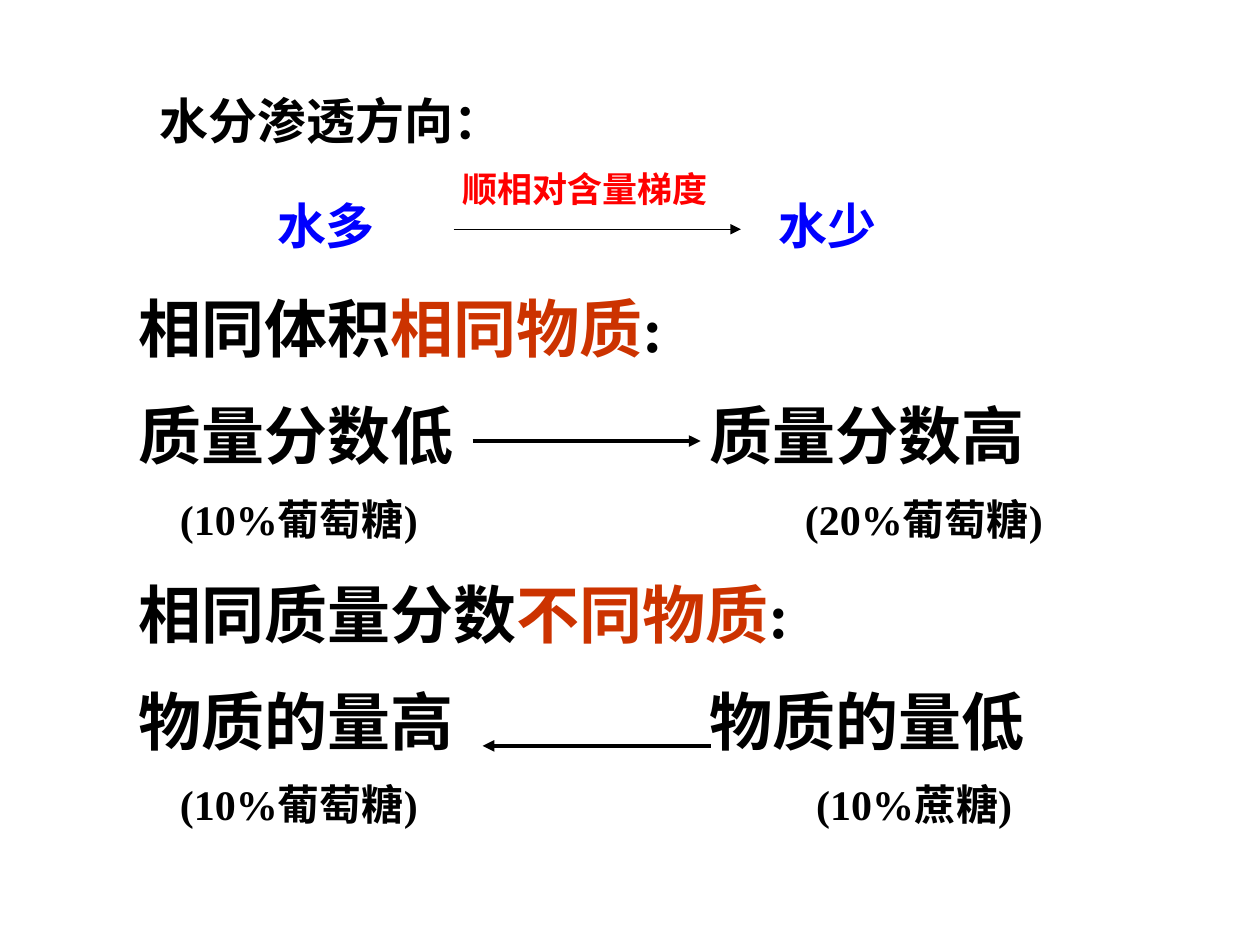
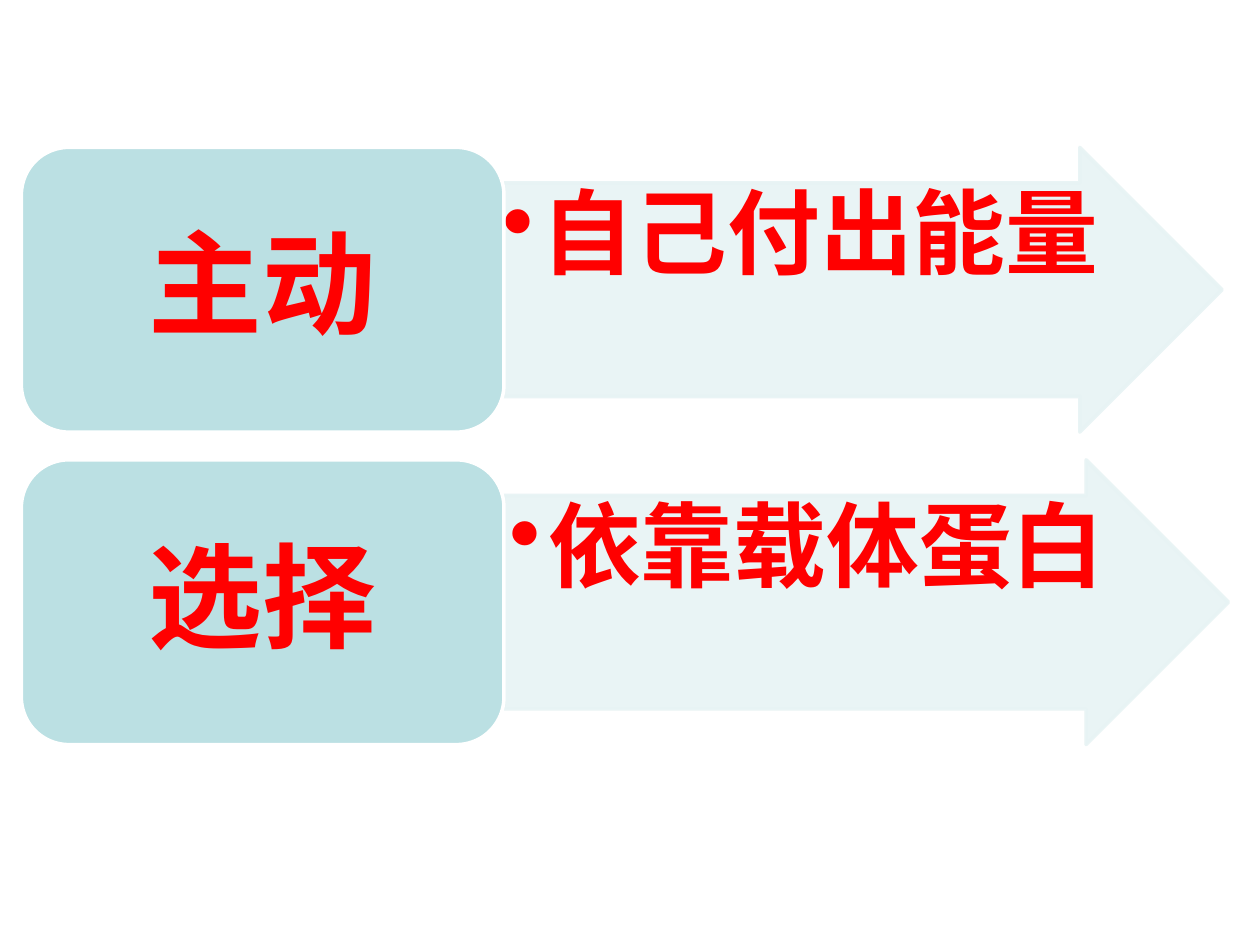
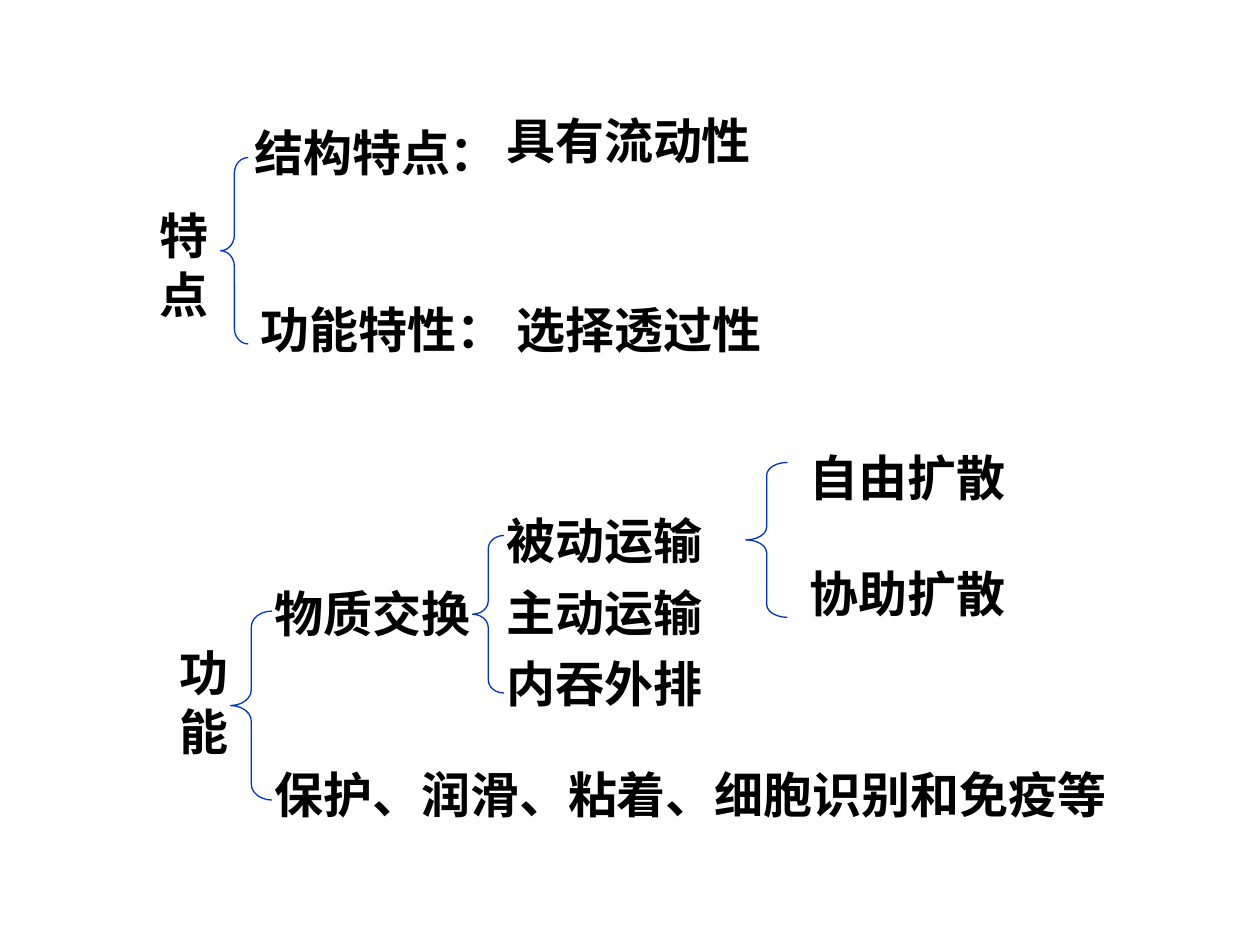
from lxml.etree import SubElement
from pptx import Presentation
from pptx.dml.color import RGBColor as RGB
from pptx.enum.shapes import MSO_CONNECTOR as LINK, MSO_SHAPE as FORM
from pptx.enum.text import MSO_ANCHOR as ANCHOR, PP_ALIGN as ALIGN
from pptx.oxml.ns import qn
from pptx.util import Pt

PX = 9144
BLACK = RGB(0, 0, 0)
BLUE = RGB(0, 0, 255)
RED = RGB(255, 0, 0)
RUST = RGB(0xCC, 0x33, 0x00)
NAVY = RGB(0x00, 0x33, 0xCC)
TEAL = RGB(0xBB, 0xE0, 0xE3)
PALE = RGB(0xE7, 0xF3, 0xF4)
WHITE = RGB(255, 255, 255)
TIMES = "Times New Roman"
NOTO = "Noto Sans CJK JP"
ARIAL = "Arial"


def say(page, box, rows, face=TIMES, inset=(10, 5), anchor=ANCHOR.TOP):
    frame = page.shapes.add_textbox(*[n * PX for n in box]).text_frame
    frame.word_wrap = True
    frame.vertical_anchor = anchor
    frame.margin_left = frame.margin_right = inset[0] * PX
    frame.margin_top = frame.margin_bottom = inset[1] * PX
    for i, (size, stops, runs) in enumerate(rows):
        para = frame.add_paragraph() if i else frame.paragraphs[0]
        if stops:
            tabs = SubElement(para._p.get_or_add_pPr(), qn("a:tabLst"))
            for stop in stops:
                SubElement(tabs, qn("a:tab"), pos=str(stop * PX), algn="l")
        if i:
            para.space_before = Pt(size / 2)
        for text, hue in runs:
            run = para.add_run()
            run.text = text
            font = run.font
            font.name, font.size, font.bold = face, Pt(size), True
            font.color.rgb = hue
    return frame


def draw(page, form, box, fill, edge, width):
    shape = page.shapes.add_shape(form, *[n * PX for n in box])
    shape.shadow.inherit = False
    if fill is None:
        shape.fill.background()
    else:
        shape.fill.solid()
        shape.fill.fore_color.rgb = fill
    shape.line.color.rgb = edge
    shape.line.width = Pt(width)
    return shape


deck = Presentation()
deck.slide_width, deck.slide_height = 1000 * PX, 750 * PX
flow, modes, sum_up = [deck.slides.add_slide(deck.slide_layouts[6]) for _ in range(3)]

say(flow, (117, 67, 686, 57), [(28, [], [("水分渗透方向：", BLACK)])])
say(flow, (192, 150, 542, 57), [(28, [18], [("\t水多", BLUE)])], NOTO)
say(flow, (357, 128, 218, 44), [(20, [], [("顺相对含量梯度", RED)])], NOTO, anchor=ANCHOR.MIDDLE)
say(flow, (608, 150, 99, 57), [(28, [], [("水少", BLUE)])], NOTO)
say(flow, (100, 225, 800, 467), [
    (36, [], [("相同体积", BLACK), ("相同物质", RUST), (":", BLACK)]),
    (36, [453], [("质量分数低\t质量分数高", BLACK)]),
    (24, [33, 529], [("\t(10%葡萄糖)\t(20%葡萄糖)", BLACK)]),
    (36, [], [("相同质量分数", BLACK), ("不同物质", RUST), (":", BLACK)]),
    (36, [453], [("物质的量高\t物质的量低", BLACK)]),
    (24, [33, 538], [("\t(10%葡萄糖)\t(10%蔗糖)", BLACK)]),
])
for start, end, y, width in [(360, 588, 182, 0.75), (375, 556, 350, 2.25), (564, 383, 592, 2.25)]:
    link = flow.shapes.add_connector(LINK.STRAIGHT, start * PX, y * PX, end * PX, y * PX)
    link.line.color.rgb = BLACK
    link.line.width = Pt(width)
    SubElement(link.line._get_or_add_ln(), qn("a:tailEnd"), type="triangle")
    SubElement(link._element.spPr, qn("a:effectLst"))

for name, note, left, top in [("主动", "自己付出能量", 395, 117), ("选择", "依靠载体蛋白", 400, 365)]:
    arrow = draw(modes, FORM.RIGHT_ARROW, (left, top, 575, 226), PALE, PALE, 2)
    arrow.adjustments[0], arrow.adjustments[1] = 0.75, 0.5
    for tint in list(arrow._element.spPr.iter(qn("a:srgbClr"))):
        SubElement(tint, qn("a:alpha"), val="90000")
    para = say(modes, (left, top + 28, 490, 170), [(53, [], [(note, RED)])], ARIAL, (4, 4)).paragraphs[0]
    props = para._p.get_or_add_pPr()
    props.set("marL", str(31 * PX))
    props.set("indent", str(-31 * PX))
    SubElement(props, qn("a:buChar"), char="•")
    para.level = 1
    para.line_spacing = 0.9
    draw(modes, FORM.ROUNDED_RECTANGLE, (17, top, 383, 226), TEAL, WHITE, 2)
    para = say(modes, (28, top + 11, 361, 204), [(65, [], [(name, RED)])],
               ARIAL, (27, 14), ANCHOR.MIDDLE).paragraphs[0]
    para.alignment = ALIGN.CENTER
    para.line_spacing = 0.9

for text, face, box in [
    ("特点", TIMES, (117, 158, 58, 103)),
    ("结构特点：", TIMES, (192, 92, 533, 57)),
    ("功能", TIMES, (133, 505, 67, 103)),
    ("物质交换", TIMES, (208, 458, 200, 57)),
    ("保护、润滑、粘着、细胞识别和免疫等", TIMES, (208, 602, 692, 57)),
    ("功能特性：", TIMES, (197, 233, 425, 57)),
    ("具有流动性", ARIAL, (392, 83, 217, 57)),
    ("选择透过性", ARIAL, (400, 233, 217, 57)),
]:
    say(sum_up, box, [(28, [], [(text, BLACK)])], face)
ways = [(28, [], [(text, BLACK)]) for text in ("被动运输", "主动运输", "内吞外排")]
for para in say(sum_up, (392, 400, 217, 178), ways).paragraphs[1:]:
    para.line_spacing = 0.8
kinds = [(28, [], [(text, BLACK)]) for text in ("自由扩散", "协助扩散")]
say(sum_up, (633, 350, 178, 151), kinds, ARIAL).paragraphs[1].space_before = Pt(33)
for x, y, w, h in [(175, 125, 22, 148), (592, 367, 33, 123), (183, 485, 33, 150), (375, 425, 25, 125)]:
    brace = draw(sum_up, FORM.LEFT_BRACE, (x, y, w, h), None, NAVY, 0.75)
    brace.adjustments[0], brace.adjustments[1] = h / 12 / w, 0.5

deck.save("out.pptx")
